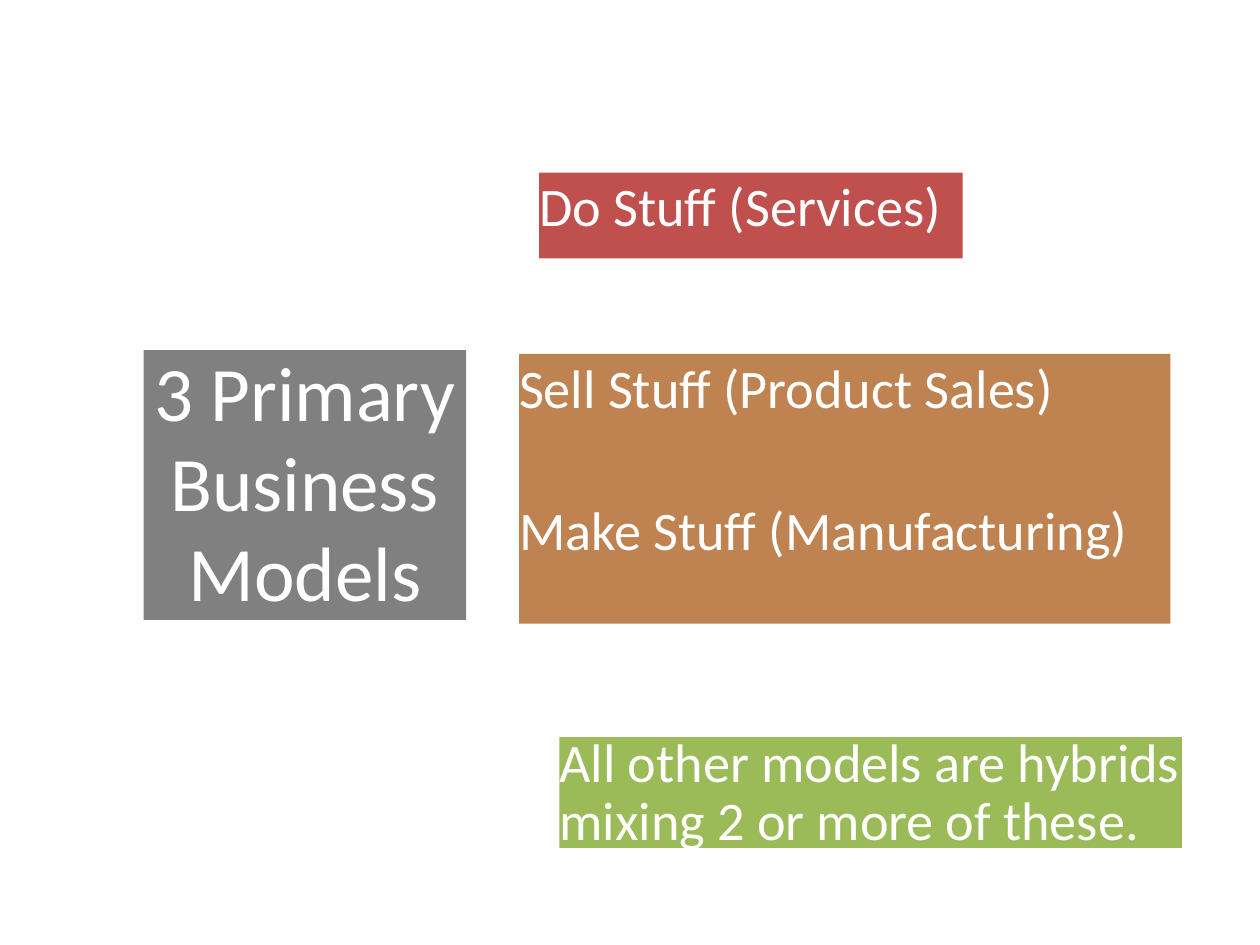
from pptx import Presentation
from pptx.dml.color import RGBColor
from pptx.enum.shapes import MSO_SHAPE
from pptx.enum.text import MSO_ANCHOR, PP_ALIGN
from pptx.util import Inches, Pt

WHITE = RGBColor(0xFF, 0xFF, 0xFF)
RED = RGBColor(0xC0, 0x50, 0x4E)
GRAY = RGBColor(0x80, 0x80, 0x80)
BROWN = RGBColor(0xBF, 0x83, 0x51)
GREEN = RGBColor(0x9B, 0xBB, 0x58)

FONT = "Calibri"
BODY_SIZE, TITLE_SIZE = 31, 44

# left, top, width, height in inches; "format" holds paragraph settings
BLOCKS = [
    {"at": (4.28, 1.37, 3.36, 0.68), "fill": RED, "size": BODY_SIZE, "wrap": False,
     "lines": ["Do Stuff (Services)"],
     "format": {"alignment": PP_ALIGN.LEFT}},
    {"at": (1.14, 2.78, 2.56, 2.14), "fill": GRAY, "size": TITLE_SIZE, "wrap": True,
     "lines": ["3 Primary Business Models"],
     "format": {"alignment": PP_ALIGN.CENTER, "line_spacing": 0.97}},
    {"at": (4.12, 2.81, 5.17, 2.14), "fill": BROWN, "size": BODY_SIZE, "wrap": True,
     "lines": ["Sell Stuff (Product Sales)", "Make Stuff (Manufacturing)"],
     "format": {"alignment": PP_ALIGN.LEFT, "space_after": Pt(44.1)}},
    {"at": (4.44, 5.85, 4.94, 0.88), "fill": GREEN, "size": BODY_SIZE, "wrap": True,
     "lines": ["All other models are hybrids mixing 2 or more of these."],
     "format": {"alignment": PP_ALIGN.LEFT, "line_spacing": 0.88}},
]


def set_attributes(target, values):
    for name, value in values.items():
        setattr(target, name, value)


def add_block(page, block):
    box = page.shapes.add_shape(MSO_SHAPE.RECTANGLE, *map(Inches, block["at"]))
    box.shadow.inherit = False
    box.fill.solid()
    box.fill.fore_color.rgb = block["fill"]
    box.line.fill.background()

    frame = box.text_frame
    set_attributes(frame, {
        "margin_left": 0, "margin_top": 0, "margin_right": 0, "margin_bottom": 0,
        "word_wrap": block["wrap"], "vertical_anchor": MSO_ANCHOR.TOP,
    })
    for index, line in enumerate(block["lines"]):
        para = frame.add_paragraph() if index else frame.paragraphs[0]
        set_attributes(para, block["format"])
        span = para.add_run()
        span.text = line
        set_attributes(span.font, {"name": FONT, "size": Pt(block["size"])})
        span.font.color.rgb = WHITE


def main():
    deck = Presentation()
    deck.slide_width, deck.slide_height = Inches(10), Inches(7.5)
    page = deck.slides.add_slide(deck.slide_layouts[6])
    for block in BLOCKS:
        add_block(page, block)
    deck.save("out.pptx")


if __name__ == "__main__":
    main()
